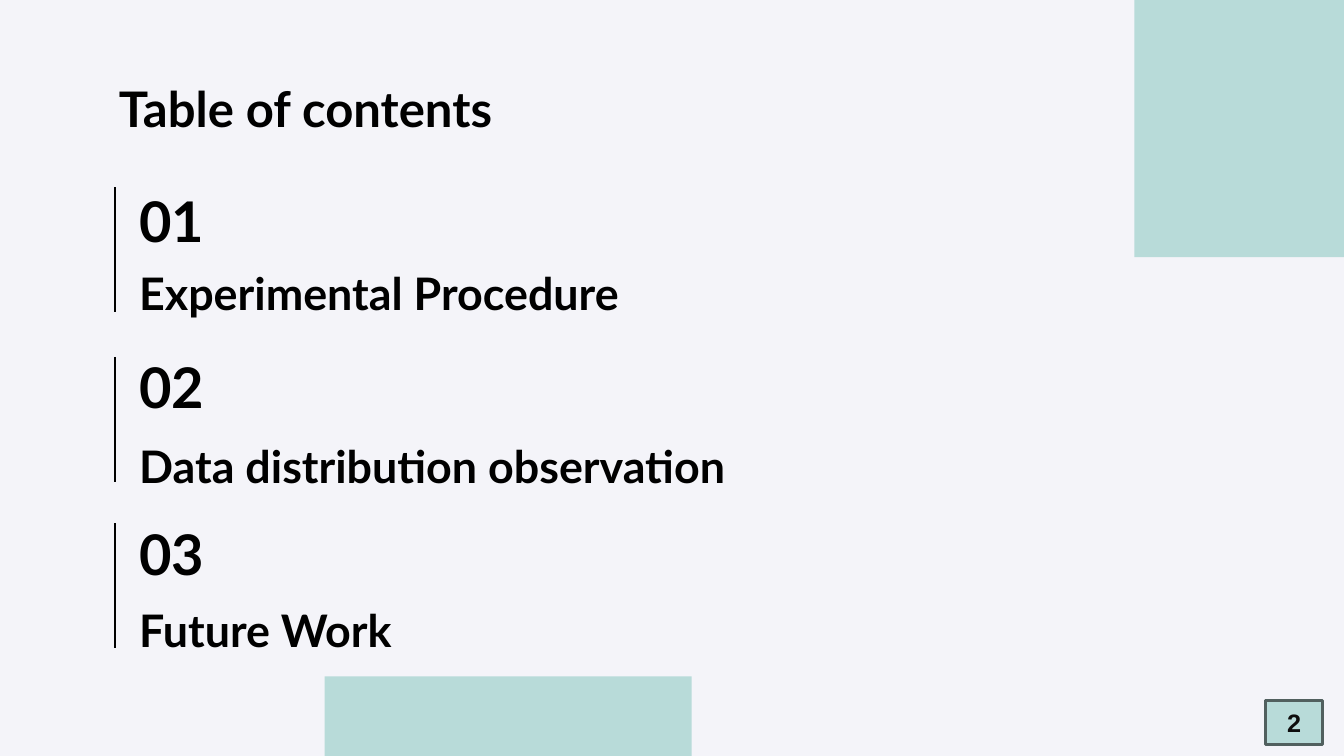
import pptx
import pptx.dml.color
import pptx.enum.shapes
import pptx.enum.text
import pptx.oxml.ns
import pptx.util
from lxml import etree

Inches = pptx.util.Inches
Pt = pptx.util.Pt
Align = pptx.enum.text.PP_ALIGN
Anchor = pptx.enum.text.MSO_ANCHOR


def color(text):
    return pptx.dml.color.RGBColor.from_string(text)


class Deck:
    paper, mint, edge, black, ink = "F4F4F9", "B8DBD9", "51605F", "000000", "0D0D0D"
    face = "Lato"

    def __init__(self, show):
        self.slide = show.slides.add_slide(show.slide_layouts[5])
        self.shapes = self.slide.shapes
        fill = self.slide.background.fill
        fill.solid()
        fill.fore_color.rgb = color(self.paper)

    def set_text(self, shape, text, size, anchor=Anchor.MIDDLE, inset=0.13,
                 align=Align.LEFT, face=face, tint=black):
        frame = shape.text_frame
        frame.text = text
        pad = Inches(inset)
        box = {"word_wrap": True, "auto_size": pptx.enum.text.MSO_AUTO_SIZE.NONE,
               "vertical_anchor": anchor, "margin_left": pad, "margin_right": pad,
               "margin_top": pad, "margin_bottom": pad}
        for key, value in box.items():
            setattr(frame, key, value)
        para = frame.paragraphs[0]
        para.alignment = align
        font = para.runs[0].font
        for key, value in {"name": face, "size": Pt(size), "bold": True}.items():
            setattr(font, key, value)
        font.color.rgb = color(tint)

    def title(self, text, place, size):
        shape = self.shapes.title
        for key, value in zip(("left", "top", "width", "height"), place):
            setattr(shape, key, Inches(value))
        self.set_text(shape, text, size, Anchor.TOP)

    def label(self, text, place, size):
        self.set_text(self.shapes.add_textbox(*map(Inches, place)), text, size)

    def block(self, place, line=None):
        kind = pptx.enum.shapes.MSO_SHAPE.RECTANGLE
        shape = self.shapes.add_shape(kind, *map(Inches, place))
        shape.shadow.inherit = False
        shape.fill.solid()
        shape.fill.fore_color.rgb = color(self.mint)
        if line:
            shape.line.color.rgb = color(self.edge)
            shape.line.width = Pt(line)
        else:
            shape.line.fill.background()
        return shape

    def rule(self, left, top, height):
        kind = pptx.enum.shapes.MSO_CONNECTOR.STRAIGHT
        ends = map(Inches, (left, top, left, top + height))
        line = self.shapes.add_connector(kind, *ends)
        line.line.color.rgb = color(self.black)
        line.line.width = Pt(1.5)
        etree.SubElement(line._element.spPr, pptx.oxml.ns.qn("a:effectLst"))


def main():
    show = pptx.Presentation()
    show.slide_width, show.slide_height = Inches(13.33), Inches(7.5)
    deck = Deck(show)
    deck.block((3.22, 6.71, 3.64, 1.51))
    deck.block((11.25, -2.61, 3.34, 5.16))
    deck.title("Table of contents", (1.05, 0.65, 11.23, 0.84), 35)

    parts = [("Experimental Procedure", 1.86, 2.25),
             ("Data distribution observation", 3.54, 3.96),
             ("Future Work", 5.19, 5.59)]
    for step, (text, bar, top) in enumerate(parts):
        deck.rule(1.14, bar, 1.24)
        deck.label(f"{step + 1:02}", (1.25, 1.86 + 1.65 * step, 3.08, 0.65), 40)
        deck.label(text, (1.25, top, 11.88, 1.31), 32)

    page = deck.block((12.55, 6.95, 0.57, 0.44), 2)
    deck.set_text(page, "2", 18, inset=0.05, align=Align.CENTER,
                  face="Arial", tint=deck.ink)
    show.save("out.pptx")


if __name__ == "__main__":
    main()
